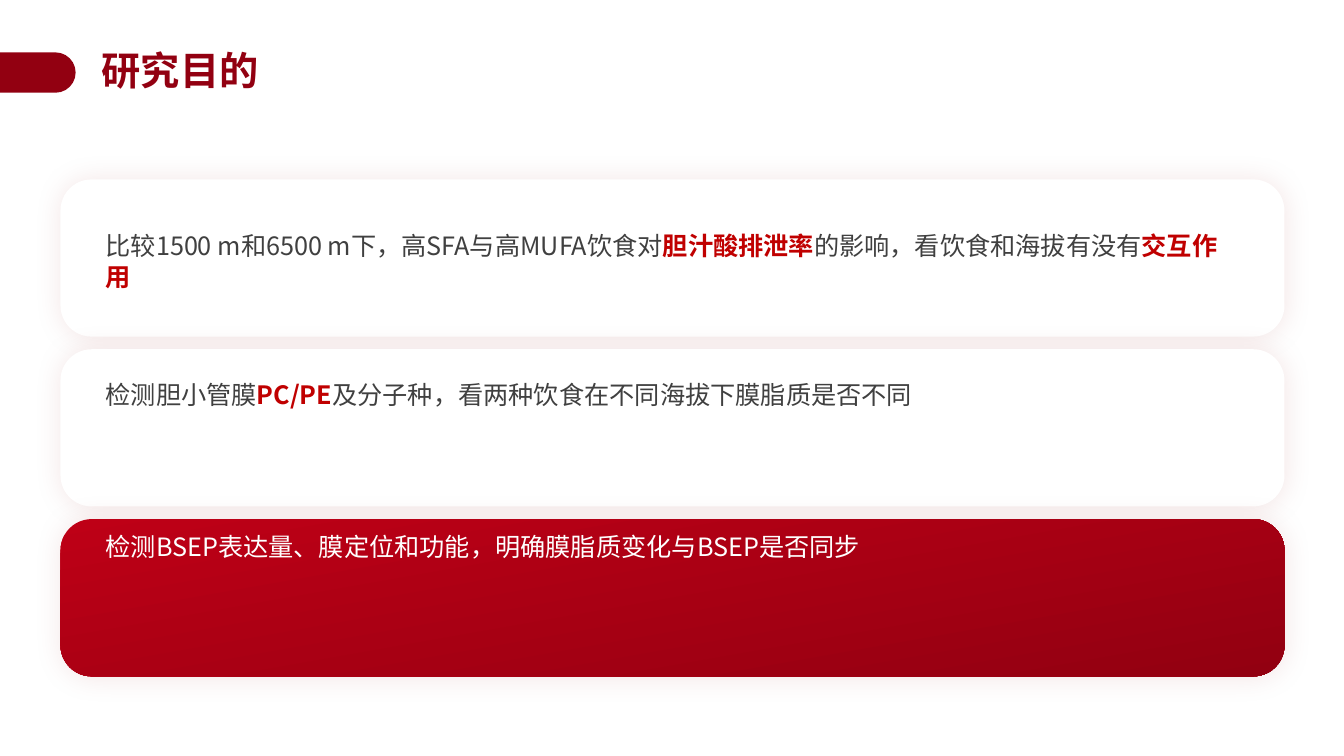
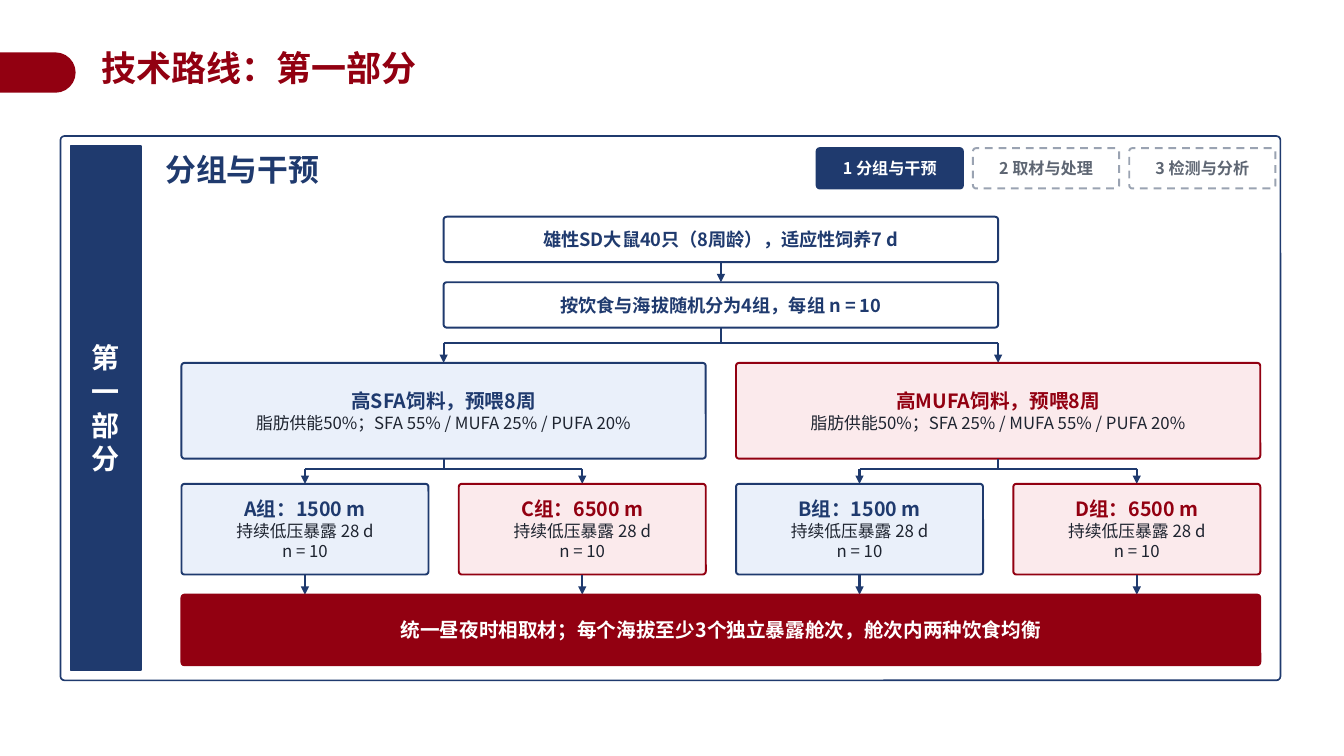
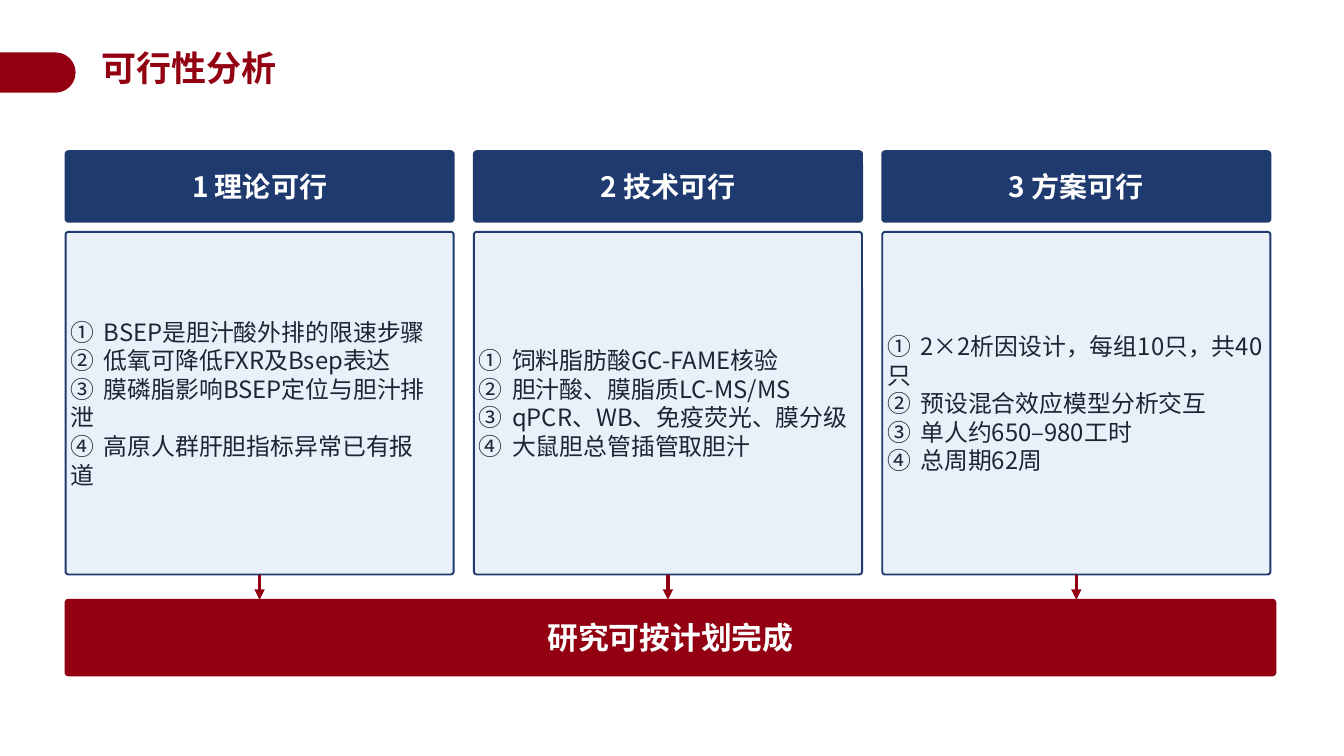
from lxml.etree import SubElement
from pptx import Presentation
from pptx.dml.color import RGBColor
from pptx.enum.dml import MSO_LINE
from pptx.enum.shapes import MSO_CONNECTOR, MSO_SHAPE
from pptx.enum.text import MSO_ANCHOR, MSO_AUTO_SIZE, PP_ALIGN
from pptx.oxml.ns import qn
from pptx.util import Inches, Pt

RECTANGLE, ROUNDED = MSO_SHAPE.RECTANGLE, MSO_SHAPE.ROUNDED_RECTANGLE
HALF_ROUND = MSO_SHAPE.ROUND_2_SAME_RECTANGLE
STRAIGHT, DASH = MSO_CONNECTOR.STRAIGHT, MSO_LINE.DASH
LEFT, CENTER = PP_ALIGN.LEFT, PP_ALIGN.CENTER
TOP, MIDDLE = MSO_ANCHOR.TOP, MSO_ANCHOR.MIDDLE
NO_FIT = MSO_AUTO_SIZE.NONE

FONT = "Noto Sans CJK SC"
COLORS = {
    "red": "920011", "bright": "BE0016", "accent": "C00000", "pink": "FBEAEC",
    "navy": "1F3A6E", "sky": "EAF0FA", "white": "FFFFFF", "gray": "404040",
    "ink": "1E2430", "slate": "5E6673", "silver": "9AA3B2",
}
RGB = {name: RGBColor.from_string(value) for name, value in COLORS.items()}
STYLES = {
    "goal": {"size": Pt(18), "bold": False},
    "key": {"size": Pt(18), "bold": True},
    "heading": {"size": Pt(22), "bold": True},
    "column": {"size": Pt(20), "bold": True},
    "step": {"size": Pt(11.5), "bold": True},
    "stage": {"size": Pt(13), "bold": True},
    "group": {"size": Pt(14), "bold": True},
    "detail": {"size": Pt(12), "bold": False},
    "item": {"size": Pt(17), "bold": False},
}


def add_box(page, at, paras=(), fill=None, line=None, width=1.4, corner=0.03,
            align=CENTER, anchor=MIDDLE, insets=(0.04, 0.02), wrap=False):
    """Add a box; each paragraph is a list of (text, style, colour) spans."""
    place = [Inches(value) for value in at]
    if fill or line:
        box = page.shapes.add_shape(ROUNDED if corner else RECTANGLE, *place)
        box.shadow.inherit = False
        if corner:
            box.adjustments[0] = corner / min(at[2:])
        if fill:
            box.fill.solid()
            box.fill.fore_color.rgb = RGB[fill]
        else:
            box.fill.background()
        if line:
            box.line.color.rgb = RGB[line]
            box.line.width = Pt(width)
        else:
            box.line.fill.background()
    else:
        box = page.shapes.add_textbox(*place)
    frame = box.text_frame
    frame.word_wrap, frame.vertical_anchor = wrap, anchor
    frame.margin_left = frame.margin_right = Inches(insets[0])
    frame.margin_top = frame.margin_bottom = Inches(insets[1])
    for index, spans in enumerate(paras):
        para = frame.add_paragraph() if index else frame.paragraphs[0]
        para.alignment = align
        for text, style, color in spans:
            span = para.add_run()
            span.text = text
            span.font.color.rgb = RGB[color]
            for name, value in STYLES[style].items():
                setattr(span.font, name, value)
    return box


def add_link(page, start, end, color="navy", width=1.6, arrow=True):
    """Add a straight line, with an arrowhead at its end if wanted."""
    points = [Inches(value) for value in (*start, *end)]
    link = page.shapes.add_connector(STRAIGHT, *points)
    link.line.color.rgb = RGB[color]
    link.line.width = Pt(width)
    properties = link._element.spPr
    if arrow:
        SubElement(properties.find(qn("a:ln")), qn("a:tailEnd"), type="triangle")
    SubElement(properties, qn("a:effectLst"))


deck = Presentation()
deck.slide_width, deck.slide_height = Inches(13.33), Inches(7.5)

# Shared title and red tab
pages = []
for text, size, width in [("研究目的", 28, 5.33), ("技术路线：第一部分", 25, 11.6),
                          ("可行性分析", 25, 11.6)]:
    page = deck.slides.add_slide(deck.slide_layouts[5])
    pages.append(page)
    tab = page.shapes.add_shape(HALF_ROUND, Inches(0.175), Inches(0.345),
                                Inches(0.4), Inches(0.75))
    tab.rotation = 90
    tab.adjustments[0] = 0.5
    tab.shadow.inherit = False
    tab.fill.solid()
    tab.fill.fore_color.rgb = RGB["red"]
    tab.line.fill.background()
    title = page.shapes.title
    title.left, title.top = Inches(0.91), Inches(0.46)
    title.width, title.height = Inches(width), Inches(0.53)
    frame = title.text_frame
    frame.text = text
    frame.vertical_anchor, frame.auto_size = TOP, NO_FIT
    para = frame.paragraphs[0]
    para.alignment, para.line_spacing, para.space_before = LEFT, 0.9, Pt(0)
    font = para.runs[0].font
    font.size, font.bold = Pt(size), True
    font.color.rgb = RGB["red"]
goals_page, route_page, feasible_page = pages

# Slide 1: three goal cards
goals = [
    (2.24, 0.57, [("比较1500 m和6500 m下，高SFA与高MUFA饮食对", "goal", "gray"),
                  ("胆汁酸排泄率", "key", "accent"),
                  ("的影响，看饮食和海拔有没有", "goal", "gray"),
                  ("交互作用", "key", "accent")]),
    (3.71, 1.04, [("检测胆小管膜", "goal", "gray"), ("PC/PE", "key", "accent"),
                  ("及分子种，看两种饮食在不同海拔下膜脂质是否不同", "goal", "gray")]),
    (5.22, 1.51, [("检测BSEP表达量、膜定位和功能，明确膜脂质变化与BSEP是否同步",
                   "goal", "white")]),
]
cards = []
for row in range(len(goals)):
    card = add_box(goals_page, (0.6, 1.78 + row * 1.685, 12.14, 1.56),
                   fill="white", corner=0.31)
    effects = card._element.spPr.find(qn("a:effectLst"))
    shadow = SubElement(effects, qn("a:outerShdw"), blurRad=str(Pt(20)), dist="0",
                        dir="0", algn="ctr", rotWithShape="0")
    tint = SubElement(shadow, qn("a:srgbClr"), val=COLORS["red"])
    SubElement(tint, qn("a:alpha"), val="10000")
    cards.append(card)
fill = cards[-1].fill
fill.gradient()
fill.gradient_angle = 280
for stop, color in zip(fill.gradient_stops, ("bright", "red")):
    stop.color.rgb = RGB[color]
for top, height, spans in goals:
    add_box(goals_page, (0.95, top, 11.4, height), [spans], align=LEFT,
            anchor=TOP, insets=(0.1, 0.05), wrap=True)

# Slide 2: frame, side band, heading and step markers
add_box(route_page, (0.6, 1.35, 12.1, 5.4), line="navy", width=1.2, corner=0.04)
add_box(route_page, (0.7, 1.45, 0.7, 5.2),
        [[(sign, "column", "white")] for sign in "第一部分"],
        fill="navy", line="navy", width=1.2, corner=0)
add_box(route_page, (1.6, 1.4, 6.6, 0.55), [[("分组与干预", "heading", "navy")]],
        align=LEFT, wrap=True)
for index, step in enumerate(["1 分组与干预", "2 取材与处理", "3 检测与分析"]):
    fill, line, color = (("white", "silver", "slate") if index
                         else ("navy", "navy", "white"))
    box = add_box(route_page, (8.1 + index * 1.55, 1.47, 1.45, 0.4),
                  [[(step, "step", color)]], fill, line)
    if index:
        box.line.dash_style = DASH

# Slide 2: first stages and the split by diet
for top, text in [(2.15, "雄性SD大鼠40只（8周龄），适应性饲养7 d"),
                  (2.8, "按饮食与海拔随机分为4组，每组 n = 10")]:
    add_box(route_page, (4.4, top, 5.5, 0.45), [[(text, "stage", "navy")]],
            "white", "navy")
add_link(route_page, (7.15, 2.6), (7.15, 2.8))
add_link(route_page, (7.15, 3.25), (7.15, 3.4), arrow=False)
add_link(route_page, (4.4, 3.4), (9.9, 3.4), arrow=False)

# Slide 2: two diets, each with two altitude groups
diets = [
    ("高SFA饲料，预喂8周", "脂肪供能50%；SFA 55% / MUFA 25% / PUFA 20%", "AC"),
    ("高MUFA饲料，预喂8周", "脂肪供能50%；SFA 25% / MUFA 55% / PUFA 20%", "BD"),
]
looks = [("sky", "navy"), ("pink", "red")]
for side, (diet, fats, groups) in enumerate(diets):
    left = 1.8 + side * 5.5
    middle = left + 2.6
    fill, line = looks[side]
    add_link(route_page, (middle, 3.4), (middle, 3.6))
    add_box(route_page, (left, 3.6, 5.2, 0.95),
            [[(diet, "group", line)], [(fats, "detail", "ink")]], fill, line)
    add_link(route_page, (middle, 4.55), (middle, 4.65), arrow=False)
    add_link(route_page, (middle - 1.375, 4.65), (middle + 1.375, 4.65), arrow=False)
    for level, (group, altitude) in enumerate(zip(groups, ("1500 m", "6500 m"))):
        group_left = left + level * 2.75
        center = group_left + 1.225
        fill, line = looks[level]
        add_link(route_page, (center, 4.65), (center, 4.8))
        add_box(route_page, (group_left, 4.8, 2.45, 0.9),
                [[(f"{group}组：{altitude}", "group", line)],
                 [("持续低压暴露 28 d", "detail", "ink")],
                 [("n = 10", "detail", "ink")]], fill, line)
        add_link(route_page, (center, 5.7), (center, 5.9))
add_box(route_page, (1.8, 5.9, 10.7, 0.7),
        [[("统一昼夜时相取材；每个海拔至少3个独立暴露舱次，舱次内两种饮食均衡",
           "group", "white")]], "red", "red")

# Slide 3: three columns leading to the conclusion
columns = [
    ("1 理论可行", ["①\tBSEP是胆汁酸外排的限速步骤", "②\t低氧可降低FXR及Bsep表达",
                "③\t膜磷脂影响BSEP定位与胆汁排", "泄",
                "④\t高原人群肝胆指标异常已有报", "道"]),
    ("2 技术可行", ["①\t饲料脂肪酸GC-FAME核验", "②\t胆汁酸、膜脂质LC-MS/MS",
                "③\tqPCR、WB、免疫荧光、膜分级", "④\t大鼠胆总管插管取胆汁"]),
    ("3 方案可行", ["①\t2×2析因设计，每组10只，共40", "只",
                "②\t预设混合效应模型分析交互", "③\t单人约650–980工时",
                "④\t总周期62周"]),
]
for index, (heading, items) in enumerate(columns):
    left = 0.65 + index * 4.05
    center = left + 1.925
    add_box(feasible_page, (left, 1.5, 3.85, 0.7), [[(heading, "column", "white")]],
            "navy", "navy")
    box = add_box(feasible_page, (left, 2.3, 3.85, 3.4),
                  [[(item, "item", "ink")] for item in items],
                  "sky", "navy", align=LEFT)
    for para in box.text_frame.paragraphs:
        tabs = SubElement(para._p.get_or_add_pPr(), qn("a:tabLst"))
        SubElement(tabs, qn("a:tab"), pos=str(Inches(0.33)), algn="l")
    add_link(feasible_page, (center, 5.7), (center, 5.95), "red", 2.5)
add_box(feasible_page, (0.65, 5.95, 12, 0.75),
        [[("研究可按计划完成", "heading", "white")]], "red", "red")

# One typeface for Latin and Chinese text
for page in pages:
    for shape in page.shapes:
        if shape.has_text_frame:
            for para in shape.text_frame.paragraphs:
                for span in para.runs:
                    span.font.name = FONT
                    SubElement(span._r.get_or_add_rPr(), qn("a:ea"), typeface=FONT)

deck.save("out.pptx")
